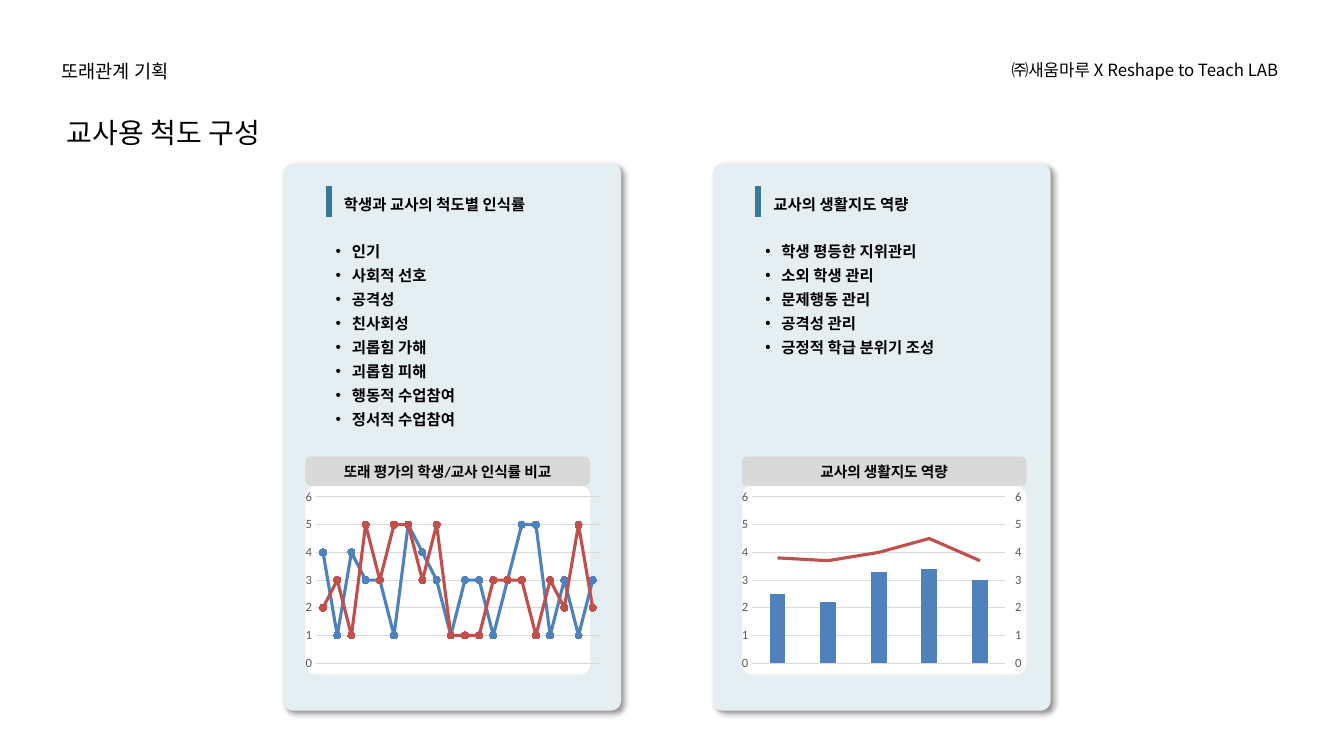
from copy import deepcopy

from lxml import etree
from pptx import Presentation
from pptx.chart.data import CategoryChartData
from pptx.dml.color import RGBColor
from pptx.enum.chart import XL_CHART_TYPE, XL_MARKER_STYLE, XL_TICK_MARK
from pptx.enum.shapes import MSO_CONNECTOR, MSO_SHAPE
from pptx.enum.text import MSO_ANCHOR, PP_ALIGN
from pptx.oxml import parse_xml
from pptx.oxml.ns import nsdecls, qn
from pptx.util import Inches, Pt

COLORS = {
    "panel": "E5EEF1", "accent": "387895", "label": "D9D9D9", "white": "FFFFFF",
    "text": "000000", "axis": "595959", "blue": "4F81BD", "red": "C0504D",
}
BODY_FONT = "Calibri"
HEADER_FONT = "Noto Sans CJK KR"
SERIES_COLORS = ("blue", "red")

PANELS = [
    {
        "left": 2.81, "chart_left": 3.03, "chart_width": 3.04,
        "heading": "학생과 교사의 척도별 인식률",
        "items": ["인기", "사회적 선호", "공격성", "친사회성", "괴롭힘 가해",
                  "괴롭힘 피해", "행동적 수업참여", "정서적 수업참여"],
        "label": "또래 평가의 학생/교사 인식률 비교",
        "chart_type": XL_CHART_TYPE.LINE_MARKERS,
        "values": [
            [4, 1, 4, 3, 3, 1, 5, 4, 3, 1, 3, 3, 1, 3, 5, 5, 1, 3, 1, 3],
            [2, 3, 1, 5, 3, 5, 5, 3, 5, 1, 1, 1, 3, 3, 3, 1, 3, 2, 5, 2],
        ],
    },
    {
        "left": 7.07, "chart_left": 7.36, "chart_width": 2.89,
        "heading": "교사의 생활지도 역량",
        "items": ["학생 평등한 지위관리", "소외 학생 관리", "문제행동 관리",
                  "공격성 관리", "긍정적 학급 분위기 조성"],
        "label": "교사의 생활지도 역량",
        "chart_type": XL_CHART_TYPE.COLUMN_CLUSTERED,
        "values": [[2.5, 2.2, 3.3, 3.4, 3], [3.8, 3.7, 4, 4.5, 3.7]],
    },
]


def color(name):
    return RGBColor.from_string(COLORS[name])


def write_text(frame, lines, size=11, font=BODY_FONT, bold=False, spacing=None,
               align=PP_ALIGN.LEFT, anchor=MSO_ANCHOR.TOP, bullet=False):
    frame.word_wrap = True
    frame.vertical_anchor = anchor
    frame.margin_left = frame.margin_right = frame.margin_top = frame.margin_bottom = 0
    for index, line in enumerate(lines):
        paragraph = frame.paragraphs[0] if index == 0 else frame.add_paragraph()
        paragraph.alignment = align
        if spacing:
            paragraph.line_spacing = spacing
        run = paragraph.add_run()
        run.text = line
        run.font.size = Pt(size)
        run.font.bold = bold
        run.font.name = font
        run.font.color.rgb = color("text")
        east_asian = etree.SubElement(run.font._element, qn("a:ea"))
        east_asian.set("typeface", font)
        if bullet:
            properties = paragraph._p.get_or_add_pPr()
            properties.set("marL", str(Inches(0.16)))
            properties.set("indent", str(-Inches(0.16)))
            etree.SubElement(properties, qn("a:buFont")).set("typeface", "Arial")
            etree.SubElement(properties, qn("a:buChar")).set("char", "•")


def add_text(slide, left, top, width, height, lines, **text_format):
    box = slide.shapes.add_textbox(Inches(left), Inches(top), Inches(width), Inches(height))
    write_text(box.text_frame, lines, **text_format)


def add_round_box(slide, left, top, width, height, fill, corner):
    shape = slide.shapes.add_shape(MSO_SHAPE.ROUNDED_RECTANGLE, Inches(left), Inches(top),
                                   Inches(width), Inches(height))
    shape.adjustments[0] = corner
    shape.shadow.inherit = False
    shape.fill.solid()
    shape.fill.fore_color.rgb = color(fill)
    shape.line.fill.background()
    return shape


def add_drop_shadow(shape):
    effects = shape._element.spPr.find(qn("a:effectLst"))
    effects.append(parse_xml(
        f'<a:outerShdw {nsdecls("a")} blurRad="{Pt(4)}" dist="{Pt(3)}" dir="2700000" '
        'algn="tl" rotWithShape="0"><a:srgbClr val="000000"><a:alpha val="40000"/>'
        '</a:srgbClr></a:outerShdw>'))


def add_accent_bar(slide, left, top, bottom):
    bar = slide.shapes.add_connector(MSO_CONNECTOR.STRAIGHT, Inches(left), Inches(bottom),
                                     Inches(left), Inches(top))
    bar.line.color.rgb = color("accent")
    bar.line.width = Pt(4.5)
    etree.SubElement(bar._element.spPr, qn("a:effectLst"))


def format_axes(chart):
    chart.category_axis.visible = False
    axis = chart.value_axis
    axis.minimum_scale, axis.maximum_scale, axis.major_unit = 0, 6, 1
    axis.major_tick_mark = axis.minor_tick_mark = XL_TICK_MARK.NONE
    axis.format.line.fill.background()
    axis.major_gridlines.format.line.color.rgb = color("label")
    axis.major_gridlines.format.line.width = Pt(0.75)
    font = axis.tick_labels.font
    font.size, font.name = Pt(9), BODY_FONT
    font.color.rgb = color("axis")


def remove_children(element, tag):
    for child in element.findall(qn(tag)):
        element.remove(child)


def move_last_series_to_right_axis(chart):
    """Turn the last column series into a line with its own value axis."""
    bar_chart = chart.plots[0]._element
    series = bar_chart.findall(qn("c:ser"))[-1]
    remove_children(series, "c:invertIfNegative")
    line_chart = parse_xml(
        f'<c:lineChart {nsdecls("c")}><c:grouping val="standard"/><c:varyColors val="0"/>'
        '<c:marker val="1"/><c:axId val="5001"/><c:axId val="5002"/></c:lineChart>')
    line_chart.insert(2, series)
    bar_chart.addnext(line_chart)

    category_axis = deepcopy(chart.category_axis._element)
    value_axis = deepcopy(chart.value_axis._element)
    for axis, own, other in ((category_axis, "5001", "5002"), (value_axis, "5002", "5001")):
        axis.find(qn("c:axId")).set("val", own)
        axis.find(qn("c:crossAx")).set("val", other)
    remove_children(value_axis, "c:majorGridlines")
    value_axis.find(qn("c:axPos")).set("val", "r")
    value_axis.find(qn("c:crosses")).set("val", "max")
    value_axis.find(qn("c:majorTickMark")).set("val", "out")
    last_axis = chart.value_axis._element
    last_axis.addnext(value_axis)
    value_axis.addnext(category_axis)


def format_line_series(series, name, has_markers):
    series.smooth = False
    series.format.line.color.rgb = color(name)
    series.format.line.width = Pt(2.25)
    marker = series.marker
    marker.style = XL_MARKER_STYLE.CIRCLE if has_markers else XL_MARKER_STYLE.NONE
    if has_markers:
        marker.size = 5
        marker.format.fill.solid()
        marker.format.fill.fore_color.rgb = color(name)
        marker.format.line.color.rgb = color(name)


def add_score_chart(slide, left, top, width, height, chart_type, values):
    data = CategoryChartData()
    data.categories = [str(number + 1) for number in range(len(values[0]))]
    for number, scores in enumerate(values, 1):
        data.add_series(f"Series {number}", scores)
    chart = slide.shapes.add_chart(chart_type, Inches(left), Inches(top), Inches(width),
                                   Inches(height), data).chart
    chart.has_title = chart.has_legend = False
    chart.font.size, chart.font.name = Pt(10), BODY_FONT
    chart.font.color.rgb = color("text")
    format_axes(chart)
    chart.plots[0].vary_by_categories = False
    if chart_type == XL_CHART_TYPE.LINE_MARKERS:
        for series, name in zip(chart.plots[0].series, SERIES_COLORS):
            format_line_series(series, name, True)
    else:
        move_last_series_to_right_axis(chart)
        columns, line = chart.plots
        columns.gap_width, columns.overlap = 219, -27
        fill = columns.series[0].format.fill
        fill.solid()
        fill.fore_color.rgb = color("blue")
        format_line_series(line.series[0], "red", False)


def add_panel(slide, panel):
    left, chart_left = panel["left"], panel["chart_left"]
    add_drop_shadow(add_round_box(slide, left, 1.62, 3.35, 5.43, "panel", 0.03))
    add_accent_bar(slide, left + 0.45, 1.85, 2.15)
    add_text(slide, left + 0.6, 1.85, 2.31, 0.3, [panel["heading"]], bold=True,
             spacing=1.3, anchor=MSO_ANCHOR.MIDDLE)
    add_text(slide, left + 0.52, 2.35, 1.95, 0.24 * len(panel["items"]), panel["items"],
             bold=True, spacing=1.3, bullet=True)
    add_round_box(slide, chart_left, 4.82, 2.82, 1.87, "white", 0.05)
    add_score_chart(slide, chart_left - 0.06, 4.82, panel["chart_width"], 1.87,
                    panel["chart_type"], panel["values"])
    label = add_round_box(slide, chart_left, 4.53, 2.82, 0.29, "label", 0.17)
    write_text(label.text_frame, [panel["label"]], size=10.5, bold=True,
               align=PP_ALIGN.CENTER, anchor=MSO_ANCHOR.MIDDLE)


def main():
    presentation = Presentation()
    presentation.slide_width, presentation.slide_height = Inches(13.33), Inches(7.5)
    slide = presentation.slides.add_slide(presentation.slide_layouts[6])
    add_text(slide, 0.61, 0.56, 2.48, 0.26, ["또래관계 기획"], size=13.3,
             font=HEADER_FONT, spacing=1.16)
    add_text(slide, 10.02, 0.56, 2.66, 0.26, ["㈜새움마루 X Reshape to Teach LAB"], size=12,
             font=HEADER_FONT, spacing=1.16, align=PP_ALIGN.RIGHT)
    add_text(slide, 0.66, 1.09, 2.15, 0.43, ["교사용 척도 구성"], size=20, spacing=1.16)
    for panel in PANELS:
        add_panel(slide, panel)
    presentation.save("out.pptx")


if __name__ == "__main__":
    main()
